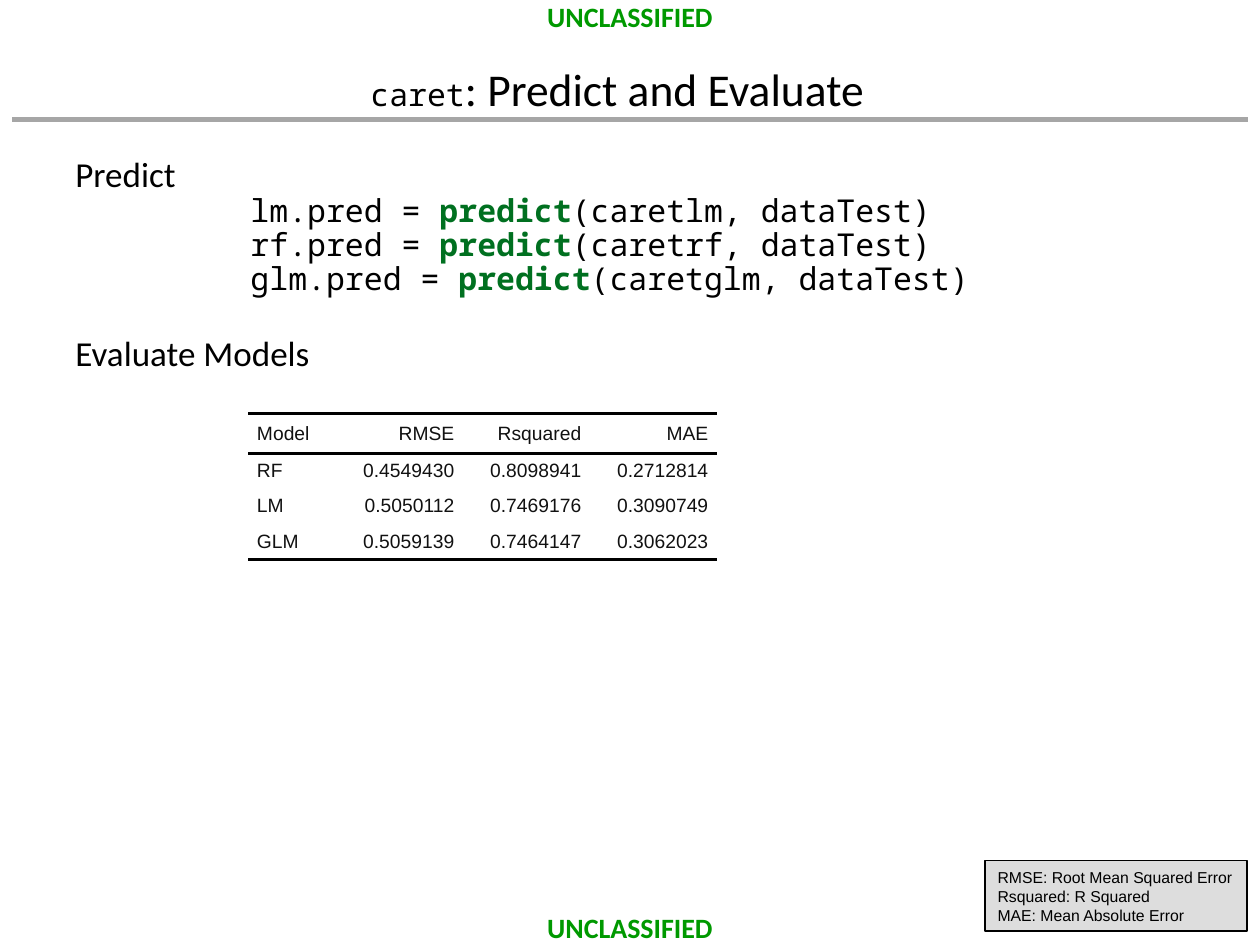
"""Build the slide on predicting with and evaluating caret models."""
import pptx
import pptx.util
import pptx.dml.color
import pptx.enum.shapes
import pptx.enum.text
import pptx.oxml

Cm, Pt = pptx.util.Cm, pptx.util.Pt
RGB = pptx.dml.color.RGBColor
ALIGN, ANCHOR = pptx.enum.text.PP_ALIGN, pptx.enum.text.MSO_ANCHOR
SIZING = pptx.enum.text.MSO_AUTO_SIZE

BLACK = RGB(0x00, 0x00, 0x00)
INK = RGB(0x11, 0x11, 0x11)
GREEN = RGB(0x00, 0x99, 0x00)
CODE = RGB(0x00, 0x70, 0x20)
GREY = RGB(0xA6, 0xA6, 0xA6)
PALE = RGB(0xDD, 0xDD, 0xDD)
SANS, MONO, PLAIN = "Calibri", "Noto Sans Mono", "Arial"

MARK = "UNCLASSIFIED"
TITLE = [("caret", 18, MONO), (": Predict and Evaluate", 26, SANS)]
HEADS = ["Predict", "Evaluate Models"]
CALLS = [
    ("lm.pred = ", "predict", "(caretlm, dataTest)"),
    ("rf.pred = ", "predict", "(caretrf, dataTest)"),
    ("glm.pred = ", "predict", "(caretglm, dataTest)"),
]
SCORES = [
    ("Model", "RMSE", "Rsquared", "MAE"),
    ("RF", "0.4549430", "0.8098941", "0.2712814"),
    ("LM", "0.5050112", "0.7469176", "0.3090749"),
    ("GLM", "0.5059139", "0.7464147", "0.3062023"),
]
WIDTHS = [1.78, 2.56, 2.56, 2.56]
HEIGHTS = [0.81, 0.71, 0.71, 0.71]
NOTES = [
    "RMSE: Root Mean Squared Error",
    "Rsquared: R Squared",
    "MAE: Mean Absolute Error",
]


def add_run(para, text, size, font, color=BLACK, bold=False):
    run = para.add_run()
    run.text = text
    run.font.size, run.font.name, run.font.bold = Pt(size), font, bold
    run.font.color.rgb = color


def set_pad(item, side=0, top=0):
    item.margin_left = item.margin_right = Cm(side)
    item.margin_top = item.margin_bottom = Cm(top)


def next_para(frame, index):
    return frame.add_paragraph() if index else frame.paragraphs[0]


def add_marks(slide):
    for top in (0, 18.36):
        frame = slide.shapes.add_textbox(Cm(11), Cm(top), Cm(3.4), Cm(0.69)).text_frame
        set_pad(frame)
        frame.word_wrap = False
        para = frame.paragraphs[0]
        para.alignment = ALIGN.CENTER
        add_run(para, MARK, 16, SANS, GREEN, True)


def add_rule(slide):
    kind = pptx.enum.shapes.MSO_CONNECTOR.STRAIGHT
    rule = slide.shapes.add_connector(kind, Cm(25.15), Cm(2.41), Cm(0.25), Cm(2.41))
    rule.line.color.rgb, rule.line.width = GREY, Pt(3)
    props = rule._element.spPr
    props.append(props.makeelement(pptx.oxml.ns.qn("a:effectLst"), {}))


def set_title(slide):
    title = slide.shapes.title
    title.left, title.top, title.width, title.height = Cm(2.16), Cm(0.64), Cm(20.57), Cm(1.7)
    frame = title.text_frame
    set_pad(frame)
    frame.auto_size, frame.vertical_anchor = SIZING.NONE, ANCHOR.BOTTOM
    para = frame.paragraphs[0]
    para.alignment, para.line_spacing = ALIGN.CENTER, 0.9
    for text, size, font in TITLE:
        add_run(para, text, size, font)


def add_body(slide):
    frame = slide.shapes.add_textbox(Cm(1.27), Cm(3.05), Cm(24.1), Cm(15.24)).text_frame
    frame.word_wrap = True
    first, code, last = [next_para(frame, i) for i in range(3)]
    for para in (first, code, last):
        para.line_spacing = 0.9
    for para, head in zip((first, last), HEADS):
        add_run(para, head, 20, SANS)
    last.space_before = Pt(22)
    code._p.get_or_add_pPr().set("marL", str(Cm(3.53)))
    for i, (left, name, right) in enumerate(CALLS):
        if i:
            code.add_line_break()
        add_run(code, left, 18, MONO)
        add_run(code, name, 18, MONO, CODE, True)
        add_run(code, right, 18, MONO)


def set_edges(cell, solid):
    props = cell._tc.get_or_add_tcPr()
    space = pptx.oxml.ns.nsdecls("a")
    for i, side in enumerate("LRTB"):
        fill = '<a:solidFill><a:srgbClr val="000000"/></a:solidFill>' if side in solid else "<a:noFill/>"
        props.insert(i, pptx.oxml.parse_xml(f'<a:ln{side} {space} w="{Pt(2)}">{fill}</a:ln{side}>'))


def add_scores(slide):
    rows, cols = len(SCORES), len(WIDTHS)
    table = slide.shapes.add_table(
        rows, cols, Cm(5), Cm(8.33), Cm(sum(WIDTHS)), Cm(sum(HEIGHTS))).table
    table.first_row = table.horz_banding = False
    for col, width in zip(table.columns, WIDTHS):
        col.width = Cm(width)
    for r, row in enumerate(SCORES):
        table.rows[r].height = Cm(HEIGHTS[r])
        solid = ("T" if r < 2 else "") + ("B" if r in (0, rows - 1) else "")
        for c, text in enumerate(row):
            cell = table.cell(r, c)
            set_pad(cell, 0.18)
            cell.vertical_anchor = ANCHOR.MIDDLE
            cell.fill.background()
            set_edges(cell, solid)
            para = cell.text_frame.paragraphs[0]
            para.alignment = ALIGN.RIGHT if c else ALIGN.LEFT
            para.space_before = para.space_after = Pt(2)
            add_run(para, text, 11, PLAIN, INK)


def add_notes(slide):
    kind = pptx.enum.shapes.MSO_SHAPE.RECTANGLE
    box = slide.shapes.add_shape(kind, Cm(19.86), Cm(17.35), Cm(5.28), Cm(1.42))
    box.shadow.inherit = False
    box.fill.solid()
    box.fill.fore_color.rgb = PALE
    box.line.color.rgb, box.line.width = BLACK, Pt(0.75)
    frame = box.text_frame
    set_pad(frame, 0.25, 0.13)
    frame.word_wrap = False
    for i, text in enumerate(NOTES):
        para = next_para(frame, i)
        para.alignment = ALIGN.LEFT
        add_run(para, text, 9, PLAIN)


def main():
    deck = pptx.Presentation()
    deck.slide_width, deck.slide_height = Cm(25.4), Cm(19.05)
    slide = deck.slides.add_slide(deck.slide_layouts[5])
    add_marks(slide)
    add_rule(slide)
    set_title(slide)
    add_body(slide)
    add_scores(slide)
    add_notes(slide)
    deck.save("out.pptx")


if __name__ == "__main__":
    main()
